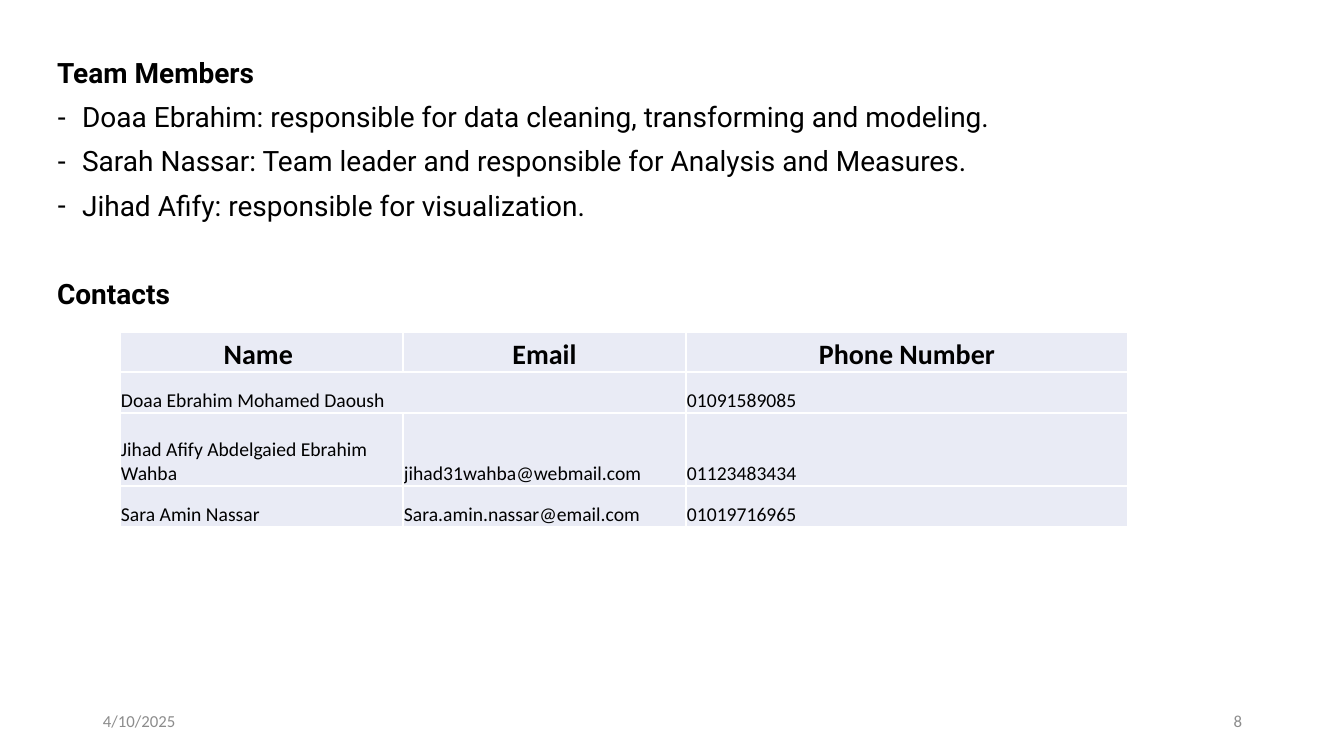
"""Build the team members and contacts slide."""
from lxml.etree import SubElement
from pptx import Presentation
from pptx.dml.color import RGBColor
from pptx.enum.text import MSO_ANCHOR, MSO_AUTO_SIZE, PP_ALIGN
from pptx.oxml.ns import qn
from pptx.util import Pt

EMU_PER_PX = 914400 / 100.8
BLACK, GREY, WHITE, CELL_FILL = "000000", "8C8C8C", "FFFFFF", "E9EBF5"

MEMBERS_BOX = (47, 54, 1081, 487)
MEMBERS = [
    ("Team Members", True, 10),
    ("Doaa Ebrahim: responsible for data cleaning, transforming and modeling.", False, 10),
    ("Sarah Nassar: Team leader and responsible for Analysis and Measures.", False, 10),
    ("Jihad Afify: responsible for visualization.", False, 10),
    ("Contacts", True, 41.5),
]
TABLE_LEFT, TABLE_TOP = 120, 332
COLUMN_WIDTHS = [283, 283, 442]
ROW_HEIGHTS = [40, 41, 73, 41]
CONTACTS = [
    ("Name ", "Email", "Phone Number"),
    ("Doaa Ebrahim Mohamed Daoush", None, "01091589085"),
    ("Jihad Afify Abdelgaied Ebrahim Wahba", "jihad31wahba@webmail.com", "01123483434"),
    ("Sara Amin Nassar", "Sara.amin.nassar@email.com", "01019716965"),
]
FOOTERS = [
    ("4/10/2025", (93, 701, 302, 40), PP_ALIGN.LEFT),
    ("8", (950, 701, 302, 40), PP_ALIGN.RIGHT),
]


def px(length):
    return round(length * EMU_PER_PX)


def color(value):
    return RGBColor.from_string(value)


def format_runs(paragraph, font_name, size, font_color, bold=False):
    for run in paragraph.runs:
        run.font.name = font_name
        run.font.size = Pt(size)
        run.font.bold = bold
        run.font.color.rgb = color(font_color)


def set_bullet(paragraph, bullet):
    properties = paragraph._p.get_or_add_pPr()
    properties.set("marL", str(px(25)))
    properties.set("indent", str(-px(25)))
    if bullet:
        SubElement(properties, qn("a:buFontTx"))
        SubElement(properties, qn("a:buChar"), char=bullet)
    else:
        SubElement(properties, qn("a:buNone"))


def add_members(slide):
    body = slide.placeholders[1]
    body.left, body.top, body.width, body.height = map(px, MEMBERS_BOX)
    frame = body.text_frame
    frame.auto_size = MSO_AUTO_SIZE.NONE
    frame.vertical_anchor = MSO_ANCHOR.TOP
    frame.text = "\n".join(text for text, _, _ in MEMBERS)
    for paragraph, (_, heading, space_before) in zip(frame.paragraphs, MEMBERS):
        paragraph.line_spacing = 0.9
        paragraph.space_before = Pt(space_before)
        set_bullet(paragraph, None if heading else "-")
        format_runs(paragraph, "Roboto", 20, BLACK, heading)


def set_borders(cell):
    properties = cell._tc.get_or_add_tcPr()
    for side in ("a:lnL", "a:lnR", "a:lnT", "a:lnB"):
        line = SubElement(properties, qn(side), w=str(Pt(1)))
        fill = SubElement(line, qn("a:solidFill"))
        SubElement(fill, qn("a:srgbClr"), val=WHITE)


def format_cell(cell, text, header):
    set_borders(cell)
    cell.fill.solid()
    cell.fill.fore_color.rgb = color(CELL_FILL)
    cell.margin_left = cell.margin_right = cell.margin_top = px(1)
    cell.margin_bottom = 0
    cell.vertical_anchor = MSO_ANCHOR.BOTTOM
    if text:
        cell.text = text
        paragraph = cell.text_frame.paragraphs[0]
        paragraph.alignment = PP_ALIGN.CENTER if header else PP_ALIGN.LEFT
        format_runs(paragraph, "Calibri", 20 if header else 14, BLACK, header)


def add_contacts(slide):
    table = slide.shapes.add_table(
        len(ROW_HEIGHTS), len(COLUMN_WIDTHS), px(TABLE_LEFT), px(TABLE_TOP),
        px(sum(COLUMN_WIDTHS)), px(sum(ROW_HEIGHTS))).table
    table.horz_banding = False
    for column, width in zip(table.columns, COLUMN_WIDTHS):
        column.width = px(width)
    for row, height in zip(table.rows, ROW_HEIGHTS):
        row.height = px(height)
    for row_index, contact in enumerate(CONTACTS):
        for column_index, text in enumerate(contact):
            cell = table.cell(row_index, column_index)
            format_cell(cell, text, row_index == 0)
            if text is None:
                table.cell(row_index, column_index - 1).merge(cell)


def add_footer(slide, text, box, alignment):
    frame = slide.shapes.add_textbox(*map(px, box)).text_frame
    frame.word_wrap = True
    frame.vertical_anchor = MSO_ANCHOR.MIDDLE
    frame.text = text
    frame.paragraphs[0].alignment = alignment
    format_runs(frame.paragraphs[0], "Calibri", 12, GREY)


def main():
    presentation = Presentation()
    presentation.slide_width, presentation.slide_height = px(1344), px(756)
    slide = presentation.slides.add_slide(presentation.slide_layouts[1])
    title = slide.shapes.title._element
    title.getparent().remove(title)
    add_members(slide)
    add_contacts(slide)
    for footer in FOOTERS:
        add_footer(slide, *footer)
    presentation.save("out.pptx")


if __name__ == "__main__":
    main()
